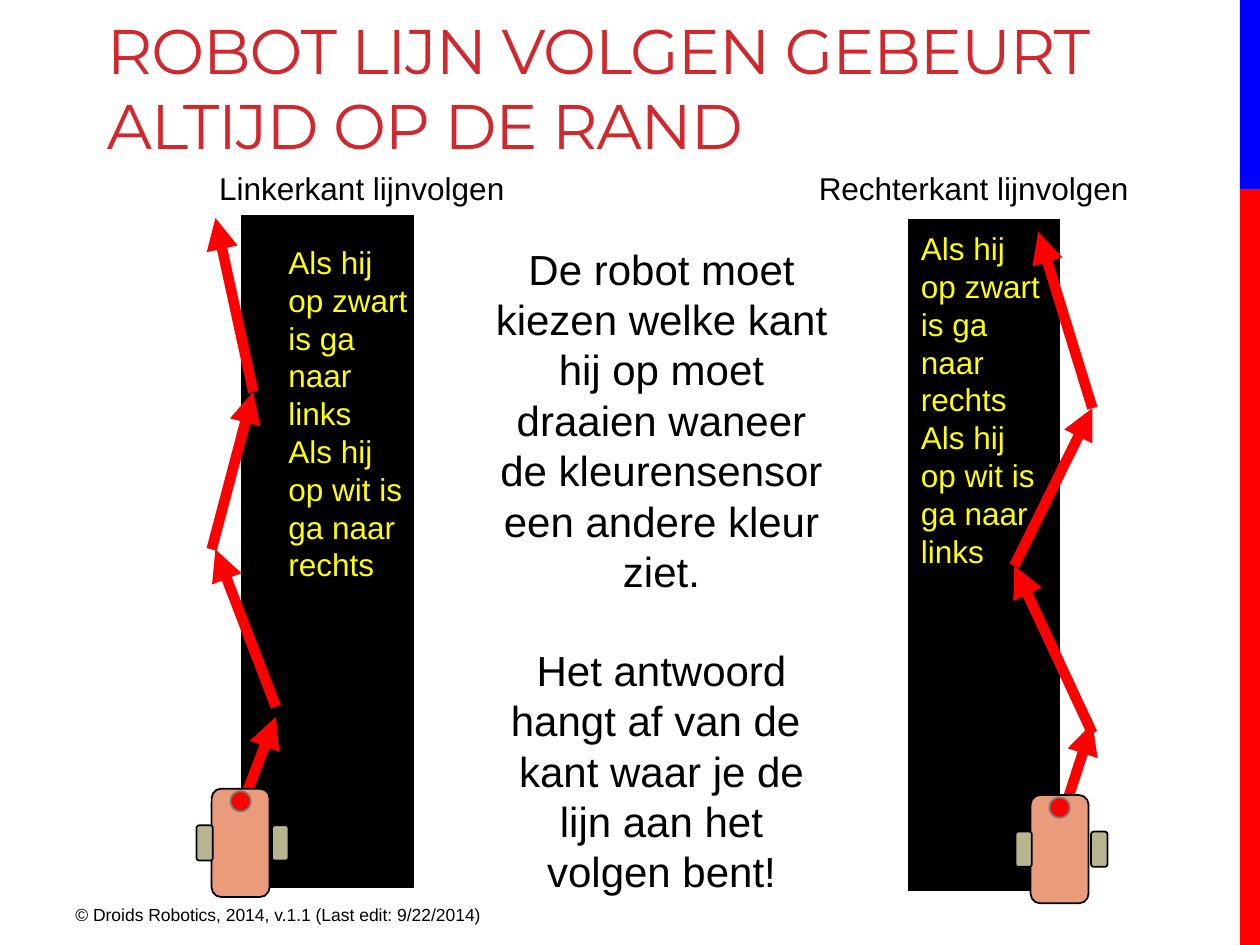
from dataclasses import dataclass
from itertools import pairwise

from lxml import etree
from pptx import Presentation
from pptx.dml.color import RGBColor
from pptx.enum.shapes import MSO_CONNECTOR, MSO_SHAPE
from pptx.enum.text import MSO_ANCHOR, PP_ALIGN
from pptx.oxml.ns import qn
from pptx.util import Inches, Pt

RECTANGLE = MSO_SHAPE.RECTANGLE
ROUNDED = MSO_SHAPE.ROUNDED_RECTANGLE
OVAL = MSO_SHAPE.OVAL
STRAIGHT = MSO_CONNECTOR.STRAIGHT
LEFT, CENTER = PP_ALIGN.LEFT, PP_ALIGN.CENTER
TOP, MIDDLE = MSO_ANCHOR.TOP, MSO_ANCHOR.MIDDLE

BLACK = RGBColor(0x00, 0x00, 0x00)
BLUE = RGBColor(0x00, 0x00, 0xFF)
RED = RGBColor(0xFF, 0x00, 0x00)
YELLOW = RGBColor(0xFF, 0xFF, 0x00)
TITLE_RED = RGBColor(0xD1, 0x28, 0x2E)
SALMON = RGBColor(0xEA, 0x9B, 0x7C)
KHAKI = RGBColor(0xB6, 0xB5, 0x90)
GREY = RGBColor(0x77, 0x77, 0x77)

Point = tuple[float, float]
Box = tuple[float, float, float, float]


@dataclass(frozen=True)
class TextStyle:
    size: float
    color: RGBColor = BLACK
    font: str = "Arial"
    align: PP_ALIGN = LEFT
    anchor: MSO_ANCHOR = TOP
    wrap: bool = True
    paragraph_gap: float = 0
    tracking: float = 0


@dataclass(frozen=True)
class Side:
    """One followed edge: the black line, its labels, the route and the robot."""
    heading: str
    heading_box: Box
    line_box: Box
    rules: tuple[str, str]
    rules_box: Box
    arrows: tuple[tuple[Point, Point], ...]
    robot: Point


HEADING = TextStyle(18, wrap=False)
RULES = TextStyle(18, YELLOW)
TITLE = TextStyle(36, TITLE_RED, "Montserrat", tracking=-0.6)
EXPLANATION = TextStyle(24, align=CENTER, paragraph_gap=27.6)
FOOTER = TextStyle(10, anchor=MIDDLE)


def route(start: tuple[Point, Point], *turns: Point) -> tuple[tuple[Point, Point], ...]:
    """The first arrow, followed by arrows that run from turn to turn."""
    return (start, *pairwise(turns))


SIDES = (
    Side(
        "Linkerkant lijnvolgen", (1.64, 1.29, 2.56, 0.4), (1.92, 1.71, 1.36, 5.33),
        ("Als hij op zwart is ga naar links", "Als hij op wit is ga naar rechts"),
        (2.19, 1.88, 1.15, 2.83),
        (((1.71, 6.94), (2.19, 5.69)), ((2.19, 5.61), (1.71, 4.36)),
         *pairwise(((1.68, 4.36), (2.01, 3.11), (1.71, 1.73)))),
        (1.56, 6.26),
    ),
    Side(
        "Rechterkant lijnvolgen", (6.4, 1.29, 2.76, 0.4), (7.21, 1.74, 1.2, 5.33),
        ("Als hij op zwart is ga naar rechts", "Als hij op wit is ga naar links"),
        (7.21, 1.77, 1.15, 2.83),
        route(((8.24, 7.07), (8.67, 5.74)),
              (8.67, 5.82), (8.05, 4.49), (8.67, 3.24), (8.24, 1.84)),
        (8.06, 6.31),
    ),
)


def add_block(shapes, kind: MSO_SHAPE, box: Box, fill: RGBColor,
              line: RGBColor | None = None, line_width: float = 1) -> None:
    shape = shapes.add_shape(kind, *map(Inches, box))
    shape.shadow.inherit = False
    shape.fill.solid()
    shape.fill.fore_color.rgb = fill
    if line is None:
        shape.line.fill.background()
    else:
        shape.line.color.rgb = line
        shape.line.width = Pt(line_width)


def add_arrow(shapes, start: Point, end: Point) -> None:
    connector = shapes.add_connector(STRAIGHT, *map(Inches, (*start, *end)))
    connector.line.color.rgb = RED
    connector.line.width = Pt(6)
    etree.SubElement(connector.line._get_or_add_ln(), qn("a:tailEnd"), type="triangle")
    etree.SubElement(connector._element.spPr, qn("a:effectLst"))


def add_text(shapes, box: Box, style: TextStyle, *texts: str) -> None:
    frame = shapes.add_textbox(*map(Inches, box)).text_frame
    frame.word_wrap = style.wrap
    frame.vertical_anchor = style.anchor
    for index, text in enumerate(texts):
        paragraph = frame.add_paragraph() if index else frame.paragraphs[0]
        paragraph.alignment = style.align
        if index and style.paragraph_gap:
            paragraph.space_before = Pt(style.paragraph_gap)
        run = paragraph.add_run()
        run.text = text
        run.font.name = style.font
        run.font.size = Pt(style.size)
        run.font.color.rgb = style.color
        if style.tracking:
            run.font._element.set("spc", str(round(style.tracking * 100)))


def add_robot(shapes, left: float, top: float) -> None:
    """A body with a wheel on either side and a red colour sensor in front."""
    parts = shapes.add_group_shape().shapes
    add_block(parts, ROUNDED, (left + 0.12, top, 0.46, 0.86), SALMON, BLACK)
    for wheel_left in (left + 0.6, left):
        add_block(parts, ROUNDED, (wheel_left, top + 0.29, 0.13, 0.28), KHAKI, BLACK)
    add_block(parts, OVAL, (left + 0.27, top + 0.02, 0.16, 0.16), RED, GREY)


def main() -> None:
    presentation = Presentation()
    presentation.slide_width = Inches(10)
    presentation.slide_height = Inches(7.5)
    slide = presentation.slides.add_slide(presentation.slide_layouts[6])
    shapes = slide.shapes

    add_block(shapes, RECTANGLE, (9.84, 0, 0.16, 1.5), BLUE)
    add_block(shapes, RECTANGLE, (9.84, 1.5, 0.16, 6), RED)
    add_text(shapes, (0.75, 0.04, 9.08, 1.25), TITLE,
             "ROBOT LIJN VOLGEN GEBEURT ALTIJD OP DE RAND")

    for side in SIDES:
        add_block(shapes, RECTANGLE, side.line_box, BLACK, BLACK, 0.75)
        arrows = shapes.add_group_shape().shapes
        for start, end in side.arrows:
            add_arrow(arrows, start, end)
        add_text(shapes, side.heading_box, HEADING, side.heading)
        add_text(shapes, side.rules_box, RULES, *side.rules)
        add_robot(shapes, *side.robot)

    add_text(shapes, (3.81, 1.88, 2.88, 5.35), EXPLANATION,
             "De robot moet kiezen welke kant hij op moet draaien waneer "
             "de kleurensensor een andere kleur ziet.",
             "Het antwoord hangt af van de  kant waar je de lijn aan het volgen bent!")
    add_text(shapes, (0.5, 7.1, 3.75, 0.31), FOOTER,
             "© Droids Robotics, 2014, v.1.1 (Last edit: 9/22/2014)")

    presentation.save("out.pptx")


if __name__ == "__main__":
    main()
